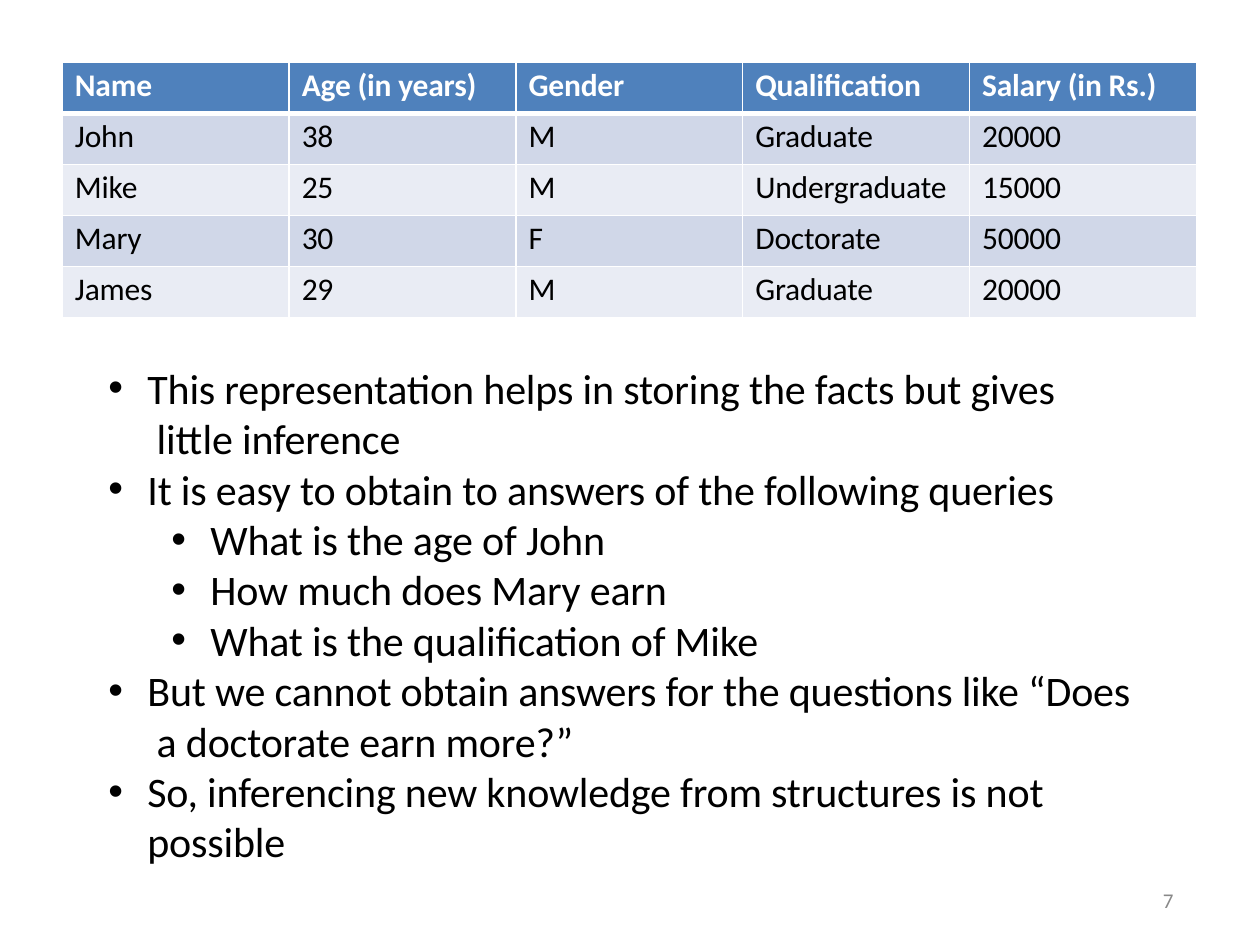
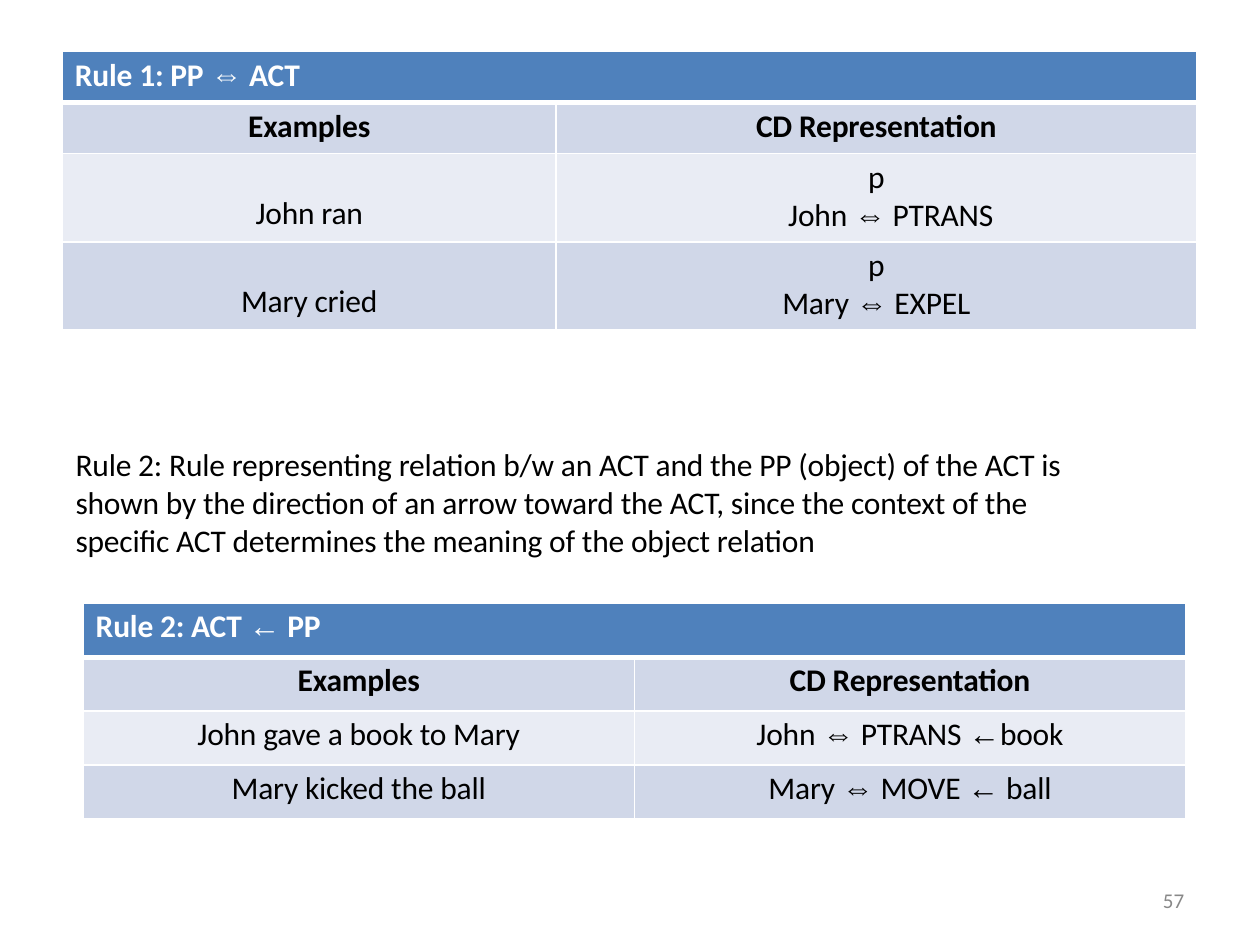
import dataclasses
import itertools

import lxml.etree
import pptx
import pptx.dml.color
import pptx.enum.text
import pptx.oxml.ns
import pptx.util

WIDE, HIGH = pptx.util.Inches(10), pptx.util.Inches(7.5)
COLS, ROWS = 100, 75
BLUE, PALE, MIST = "4F81BC", "D0D7E8", "E9ECF4"
WHITE, BLACK, GREY = "FFFFFF", "000000", "888888"
FONT, SIGN = "Calibri", "Arial"
ARROWS = "⇔←"
ALIGN = pptx.enum.text.PP_ALIGN
qn = pptx.oxml.ns.qn


@dataclasses.dataclass(frozen=True)
class Line:
    text: str
    level: int = 0
    left: float = 0


@dataclasses.dataclass(frozen=True)
class Box:
    left: float
    top: float
    width: float
    height: float


@dataclasses.dataclass(frozen=True)
class Table:
    left: float
    top: float
    widths: tuple[float, ...]
    heights: tuple[float, ...]
    rows: tuple[tuple, ...]
    heads: int = 1
    title: bool = False


def across(n: float) -> int:
    return round(WIDE * n / COLS)


def down(n: float) -> int:
    return round(HIGH * n / ROWS)


def color(code: str) -> pptx.dml.color.RGBColor:
    return pptx.dml.color.RGBColor.from_string(code)


def add(parent, tag: str, **attrs):
    return lxml.etree.SubElement(parent, qn(tag), attrs)


def write(frame, lines, *, size=18, fill=BLACK, bold=False, align=ALIGN.LEFT,
          left=0.0, bullet=False, space=0.0, lead=None) -> None:
    for i, line in enumerate(lines):
        if isinstance(line, str):
            line = Line(line)
        para = frame.paragraphs[0] if i == 0 else frame.add_paragraph()
        para.alignment, para.level = align, line.level
        if lead:
            para.line_spacing = pptx.util.Pt(lead)
        props = para._p.get_or_add_pPr()
        props.set("marL", str(across(left + line.left + 5 * line.level)))
        props.set("indent", str(across(-3.1) if bullet else 0))
        if bullet:
            add(props, "a:buFont", typeface=SIGN)
            add(props, "a:buChar", char="•")
        for j, part in enumerate(line.text.split("\n")):
            if j:
                para.add_line_break()
            for sign, chars in itertools.groupby(part, lambda c: c in ARROWS):
                run = para.add_run()
                run.text = "".join(chars)
                font = run.font
                font.size, font.bold = pptx.util.Pt(size), bold
                font.color.rgb = color(fill)
                font.name = SIGN if sign else FONT
                props = font._element
                props.set("spc", str(round(space * 100)))
                for tag in ("a:ea", "a:cs"):
                    add(props, tag, typeface=font.name)


def put_text(slide, box: Box, lines, *, pad=0.0, **style) -> None:
    shape = slide.shapes.add_textbox(across(box.left), down(box.top),
                                     across(box.width), down(box.height))
    frame = shape.text_frame
    frame.word_wrap = True
    frame.margin_left = frame.margin_right = frame.margin_bottom = 0
    frame.margin_top = down(pad)
    write(frame, lines, **style)


def rule_cell(cell, row: int) -> None:
    props = cell._tc.get_or_add_tcPr()
    thick = {"a:lnT": row == 1, "a:lnB": row == 0}
    for side in ("a:lnL", "a:lnR", "a:lnT", "a:lnB"):
        width = pptx.util.Pt(3 if thick.get(side) else 1)
        edge = add(props, side, w=str(width))
        add(add(edge, "a:solidFill"), "a:srgbClr", val=WHITE)


def put_table(slide, data: Table) -> None:
    grid = slide.shapes.add_table(
        len(data.heights), len(data.widths), across(data.left), down(data.top),
        across(sum(data.widths)), down(sum(data.heights))).table
    grid.first_row = grid.horz_banding = False
    for col, width in zip(grid.columns, data.widths):
        col.width = across(width)
    for row, height in zip(grid.rows, data.heights):
        row.height = down(height)
    if data.title:
        grid.cell(0, 0).merge(grid.cell(0, len(data.widths) - 1))
    for r, texts in enumerate(data.rows):
        for c in range(len(data.widths)):
            cell = grid.cell(r, c)
            rule_cell(cell, r)
            cell.fill.solid()
            cell.fill.fore_color.rgb = color(
                BLUE if r == 0 else PALE if r % 2 else MIST)
            cell.margin_left = cell.margin_right = cell.margin_bottom = 0
            cell.margin_top = down(0.35)
            if c >= len(texts):
                continue
            lines = texts[c] if isinstance(texts[c], tuple) else (texts[c],)
            if data.heights[r] > 5 and len(lines) == 1:
                cell.vertical_anchor = pptx.enum.text.MSO_ANCHOR.BOTTOM
                cell.margin_bottom = down(0.7)
            mid = data.title and r > 0
            write(cell.text_frame, lines, fill=BLACK if r else WHITE,
                  bold=r < data.heads, left=0 if mid else 1,
                  align=ALIGN.CENTER if mid else ALIGN.LEFT, space=-0.1)


def start(deck, page: int):
    slide = deck.slides.add_slide(deck.slide_layouts[6])
    put_text(slide, Box(92, 70.7, 2.3, 1.9), [str(page)], size=12,
             fill=GREY, left=0.3, lead=12.4)
    return slide


STAFF = Table(4.95, 4.95, (18,) * 5, (4.05,) * 5, (
    ("Name", "Age (in years)", "Gender", "Qualification", "Salary (in Rs.)"),
    ("John", "38", "M", "Graduate", "20000"),
    ("Mike", "25", "M", "Undergraduate", "15000"),
    ("Mary", "30", "F", "Doctorate", "50000"),
    ("James", "29", "M", "Graduate", "20000"),
))
POINTS = (
    "This representation helps in storing the facts but gives\n little inference",
    "It is easy to obtain to answers of the following queries",
    Line("What is the age of John", 1),
    Line("How much does Mary earn", 1),
    Line("What is the qualification of Mike", 1),
    "But we cannot obtain answers for the questions like “Does\n a doctorate earn more?”",
    "So, inferencing new knowledge from structures is not\npossible",
)
HEADS = ("Examples", "CD Representation")
FIRST = Table(4.95, 4.1, (39.2, 50.8), (4.05, 4.05, 7, 7), (
    ("Rule 1: PP ⇔ ACT",),
    HEADS,
    ("John ran", ("p", Line("John ⇔ PTRANS", left=2.3))),
    ("Mary cried", ("p", "Mary ⇔ EXPEL")),
), heads=2, title=True)
NOTE = ("Rule 2: Rule representing relation b/w an ACT and the PP (object) of the ACT is\n"
        "shown by the direction of an arrow toward the ACT, since the context of the\n"
        "specific ACT determines the meaning of the object relation")
SECOND = Table(6.6, 47.9, (43.75,) * 2, (4.27,) * 4, (
    ("Rule 2: ACT ← PP",),
    HEADS,
    ("John gave a book to Mary", "John ⇔ PTRANS ←book"),
    ("Mary kicked the ball", "Mary ⇔ MOVE ← ball"),
), heads=2, title=True)


def main() -> None:
    deck = pptx.Presentation()
    deck.slide_width, deck.slide_height = WIDE, HIGH

    facts = start(deck, 7)
    put_table(facts, STAFF)
    put_text(facts, Box(8.4, 28.5, 83, 40.3), POINTS, pad=0.25, size=24,
             left=3.3, bullet=True, space=-0.1)

    rules = start(deck, 57)
    put_table(rules, FIRST)
    put_text(rules, Box(5.9, 35.1, 82, 9.3), [NOTE], pad=0.25, left=0.1,
             space=-0.1)
    put_table(rules, SECOND)

    deck.save("out.pptx")


if __name__ == "__main__":
    main()
